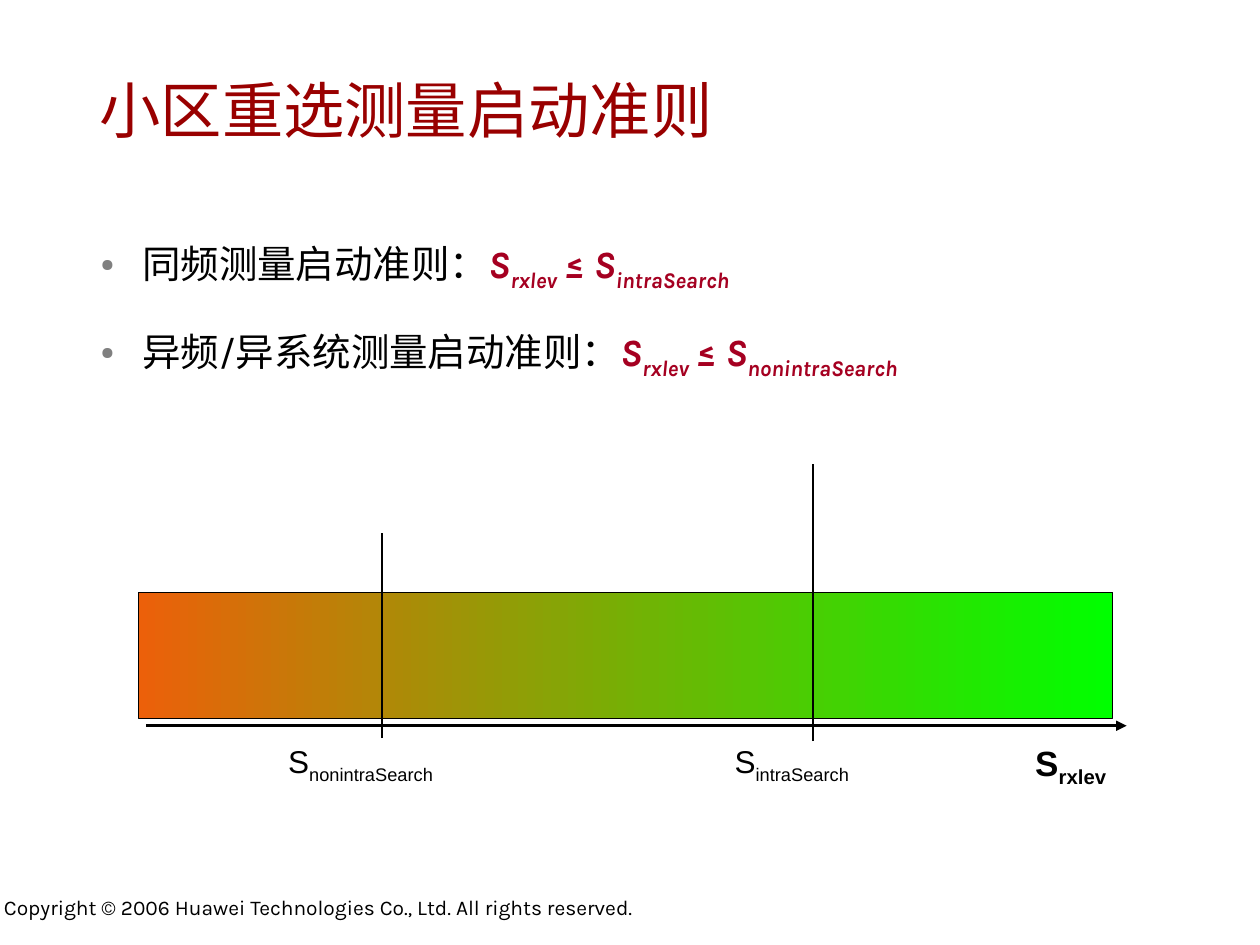
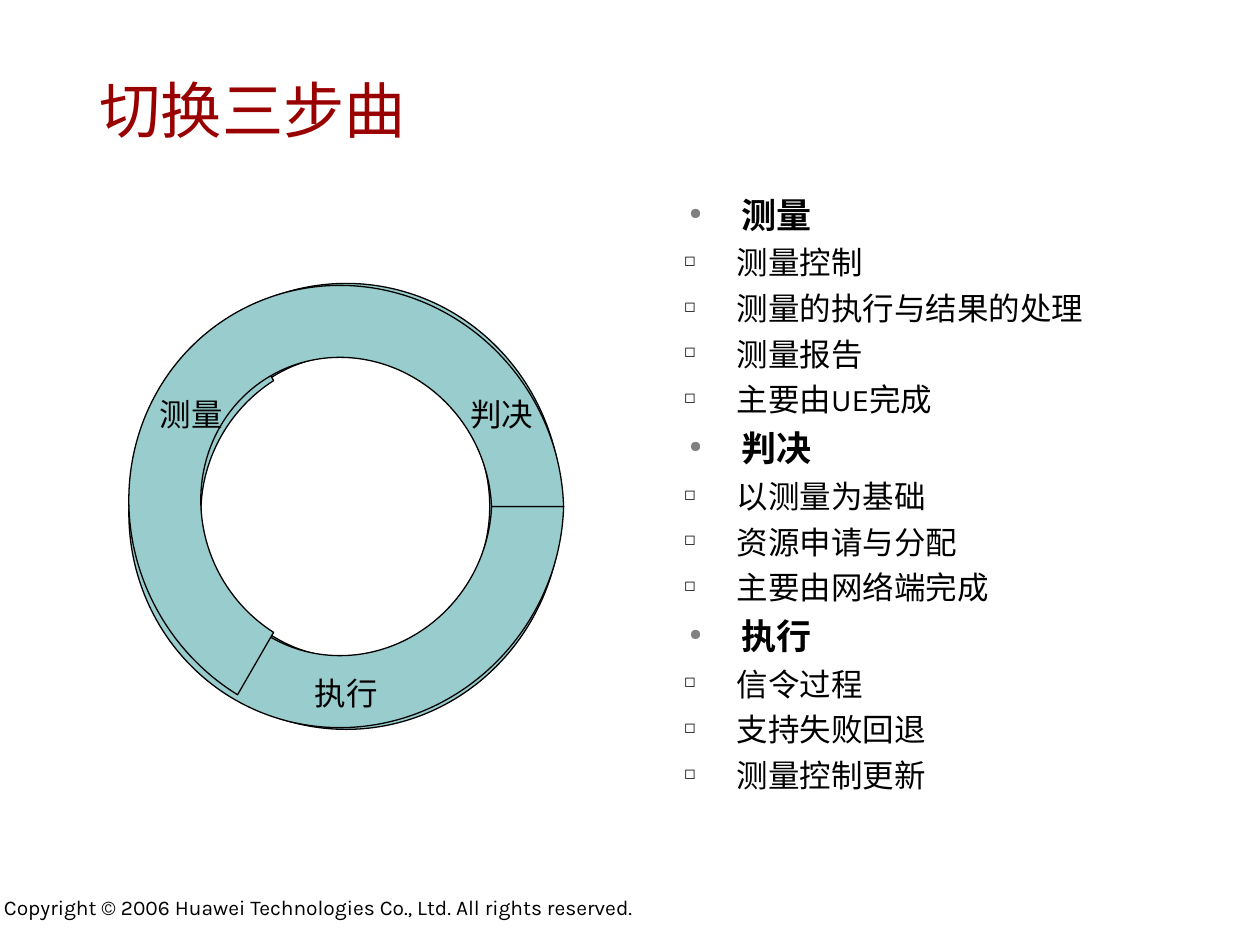
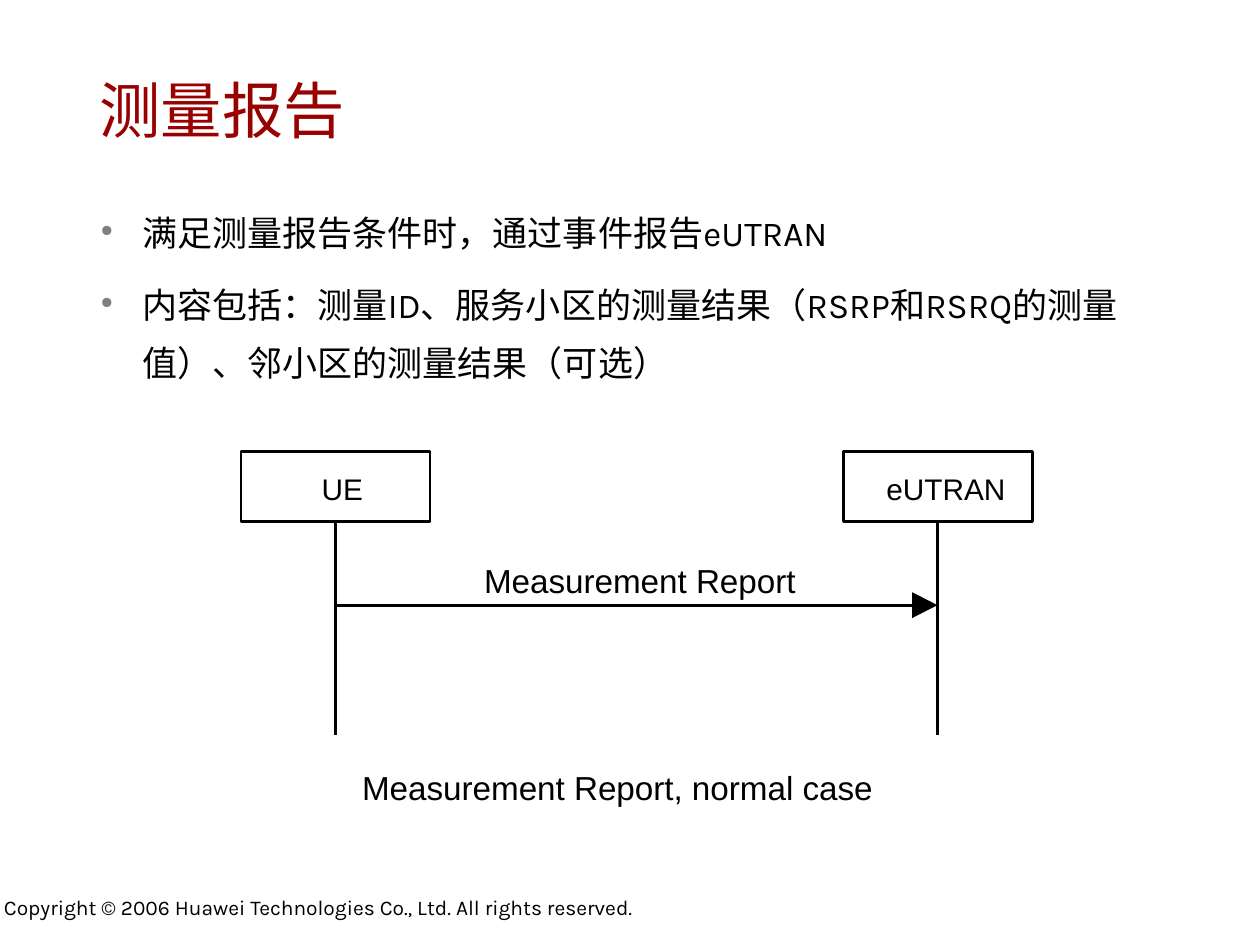
from lxml import etree
from pptx import Presentation
from pptx.dml.color import RGBColor
from pptx.enum.shapes import MSO_CONNECTOR, MSO_SHAPE
from pptx.enum.text import MSO_ANCHOR, PP_ALIGN
from pptx.oxml.ns import qn
from pptx.util import Cm, Pt

# Shared look
BODY_FONT, LABEL_FONT = "Karla", "Arial"
BLACK, TITLE_RED, FORMULA_RED = "000000", "990000", "A50021"
TEAL, ORANGE, GREEN = "99CCCC", "EC600A", "00FF00"
COPYRIGHT = "Copyright © 2006 Huawei Technologies Co., Ltd. All rights reserved."
FRAME_INSETS = (0.23, 0.1)
FORMULA = {"color": FORMULA_RED, "bold": True, "italic": True}

# Bullet levels: character, colour, size in percent, left margin, indent
DOT = ("●", "808080", 45, 0.84, -0.84)
STEP_DOT = ("●", "808080", 45, 1.35, -1.04)
STEP_SQUARE = ("◻", "080808", 45, 1.26, -1.06)


def rgb(value):
    return RGBColor.from_string(value)


def style_run(r, size, font, color=BLACK, bold=False, italic=False, sub=False):
    r.font.size, r.font.name = Pt(size), font
    r.font.bold, r.font.italic = bold, italic
    r.font.color.rgb = rgb(color)
    if sub:
        r.font._element.set("baseline", "-25000")


def write(p, parts, size, font, **style):
    """Fill a paragraph from a string or from (text, style) pairs."""
    if isinstance(parts, str):
        parts = [(parts, {})]
    for text, extra in parts:
        r = p.add_run()
        r.text = text
        style_run(r, size, font, **{**style, **extra})


def symbol(name, **style):
    """The letter S with a subscript name."""
    return [("S", style), (name, {**style, "sub": True})]


def text_frame(s, box, insets, wrap=False, anchor=MSO_ANCHOR.TOP):
    tf = s.shapes.add_textbox(*map(Cm, box)).text_frame
    tf.word_wrap, tf.vertical_anchor = wrap, anchor
    tf.margin_left = tf.margin_right = Cm(insets[0])
    tf.margin_top = tf.margin_bottom = Cm(insets[1])
    return tf


def add_label(s, box, parts, size, insets=(0, 0), align=PP_ALIGN.CENTER,
              anchor=MSO_ANCHOR.TOP, **style):
    p = text_frame(s, box, insets, anchor=anchor).paragraphs[0]
    p.alignment = align
    write(p, parts, size, LABEL_FONT, **style)


def set_bullet(p, char, color, percent, margin, indent):
    pPr = p._p.get_or_add_pPr()
    pPr.set("marL", str(Cm(margin)))
    pPr.set("indent", str(Cm(indent)))
    clr = etree.SubElement(pPr, qn("a:buClr"))
    etree.SubElement(clr, qn("a:srgbClr"), val=color)
    etree.SubElement(pPr, qn("a:buSzPct"), val=str(percent * 1000))
    etree.SubElement(pPr, qn("a:buChar"), char=char)


def add_bullets(s, box, items, spacing=1.0):
    """Each item is (bullet level, parts, size, space before, bold)."""
    tf = text_frame(s, box, FRAME_INSETS, wrap=True)
    for i, (level, parts, size, before, bold) in enumerate(items):
        p = tf.add_paragraph() if i else tf.paragraphs[0]
        set_bullet(p, *level)
        p.line_spacing = spacing
        p.space_before = Pt(before if i else 0)
        write(p, parts, size, BODY_FONT, bold=bold)


def add_line(s, x1, y1, x2, y2, width, arrow=False):
    line = s.shapes.add_connector(MSO_CONNECTOR.STRAIGHT, Cm(x1), Cm(y1), Cm(x2), Cm(y2))
    line.line.color.rgb, line.line.width = rgb(BLACK), Pt(width)
    if arrow:
        etree.SubElement(line.line._get_or_add_ln(), qn("a:tailEnd"), type="triangle")
    etree.SubElement(line._element.spPr, qn("a:effectLst"))
    return line


def add_outlined(s, kind, box, width, fill=None):
    sp = s.shapes.add_shape(kind, *map(Cm, box))
    sp.shadow.inherit = False
    sp.line.color.rgb, sp.line.width = rgb(BLACK), Pt(width)
    if fill:
        sp.fill.solid()
        sp.fill.fore_color.rgb = rgb(fill)
    else:
        sp.fill.background()
    return sp


def new_slide(prs, title):
    """Blank slide with the shared footer and title."""
    s = prs.slides.add_slide(prs.slide_layouts[6])
    tf = text_frame(s, (-0.15, 17.93, 17.78, 0.74), FRAME_INSETS, wrap=True)
    write(tf.paragraphs[0], COPYRIGHT, 12, BODY_FONT)
    tf = text_frame(s, (1.78, 0.99, 21.46, 2.41), FRAME_INSETS, True, MSO_ANCHOR.MIDDLE)
    write(tf.paragraphs[0], title, 35, BODY_FONT, color=TITLE_RED)
    return s


def criteria_slide(prs):
    s = new_slide(prs, "小区重选测量启动准则")
    rules = [("同频测量启动准则：", "intraSearch"),
             ("异频/异系统测量启动准则：", "nonintraSearch")]
    items = []
    for text, threshold in rules:
        formula = symbol("rxlev", **FORMULA) + [(" ≤ ", FORMULA)] + symbol(threshold, **FORMULA)
        items.append((DOT, [(text, {})] + formula, 22, 8.2, False))
    add_bullets(s, (1.8, 4.32, 23.04, 4.09), items, 1.4)

    # Signal level bar and its axis
    add_line(s, 2.95, 14.63, 22.71, 14.63, 1.5, arrow=True)
    bar = add_outlined(s, MSO_SHAPE.RECTANGLE, (2.8, 11.94, 19.63, 2.54), 0.75)
    bar.fill.gradient()
    bar.fill.gradient_angle = 0
    for stop, color in zip(bar.fill.gradient_stops, (ORANGE, GREEN)):
        stop.color.rgb = rgb(color)

    # Axis name and thresholds
    look = {"insets": (0.25, 0.13), "align": PP_ALIGN.LEFT}
    add_label(s, (20.62, 14.81, 2.2, 1.22), symbol("rxlev"), 20, bold=True, **look)
    for name, left, width, x, bottom, top in [
            ("intraSearch", 14.56, 3, 16.39, 14.94, 9.35),
            ("nonintraSearch", 5.56, 3.6, 7.7, 14.88, 10.74)]:
        add_label(s, (left, 14.83, width, 1.12), symbol(name), 18, **look)
        add_line(s, x, bottom, x, top, 0.75)


def handover_slide(prs):
    s = new_slide(prs, "切换三步曲")
    steps = {
        "测量": ["测量控制", "测量的执行与结果的处理", "测量报告", "主要由UE完成"],
        "判决": ["以测量为基础", "资源申请与分配", "主要由网络端完成"],
        "执行": ["信令过程", "支持失败回退", "测量控制更新"],
    }
    items = []
    for step, details in steps.items():
        items.append((STEP_DOT, step, 20, 5, True))
        items += [(STEP_SQUARE, detail, 18, 4.5, False) for detail in details]
    add_bullets(s, (13.36, 3.8, 10.92, 12.32), items)

    # Ring of three overlapping arcs around one centre
    cx, cy, short, long = 6.98, 10.21, 8.69, 8.99
    for angle in (0, 120, 240):
        w, h = (long, short) if angle else (short, long)
        arc = add_outlined(s, MSO_SHAPE.BLOCK_ARC, (cx - w / 2, cy - h / 2, w, h), 0.75, TEAL)
        for i, value in enumerate((144, 72, 0.167)):
            arc.adjustments[i] = value
        arc.rotation = angle
    for step, x, y in [("判决", 8.8, 6.97), ("执行", 5.66, 12.6), ("测量", 2.54, 6.97)]:
        add_label(s, (x, y, 2.64, 2.74), step, 18, (0.13, 0.08), anchor=MSO_ANCHOR.MIDDLE)


def report_slide(prs):
    s = new_slide(prs, "测量报告")
    points = ["满足测量报告条件时，通过事件报告eUTRAN",
              "内容包括：测量ID、服务小区的测量结果（RSRP和RSRQ的测量值）、邻小区的测量结果（可选）"]
    add_bullets(s, (1.8, 3.82, 22.02, 4.32),
                [(DOT, point, 20, 7.5, False) for point in points], 1.4)

    # Entities with their lifelines
    top, width, height = 9.11, 3.81, 1.4
    for name, left, text_left, text_width in [("UE", 4.86, 6.4, 1),
                                              ("eUTRAN", 17.0, 17.77, 2.6)]:
        entity = add_outlined(s, MSO_SHAPE.RECTANGLE, (left, top, width, height), 1.62)
        x = left + width / 2
        add_line(s, x, top + height, x, 14.81, 1.64).begin_connect(entity, 2)
        add_label(s, (text_left, 9.5, text_width, 0.71), name, 17)

    # Message arrow with a large head
    y, base, tip, half = 12.2, 18.39, 18.9, 0.26
    add_line(s, base, y, 6.76, y, 1.62)
    builder = s.shapes.build_freeform(Cm(base), Cm(y + half))
    builder.add_line_segments([(Cm(tip), Cm(y)), (Cm(base), Cm(y - half))], close=True)
    head = builder.convert_to_shape()
    head.shadow.inherit = False
    head.fill.solid()
    head.fill.fore_color.rgb = rgb(BLACK)
    head.line.fill.background()
    add_label(s, (9.6, 11.3, 6.6, 0.81), "Measurement Report", 19)
    add_label(s, (6.95, 15.34, 11, 1.07), "Measurement Report, normal case", 19,
              (0.25, 0.13), anchor=MSO_ANCHOR.MIDDLE)


def main():
    prs = Presentation()
    prs.slide_width, prs.slide_height = Cm(25.4), Cm(19.05)
    criteria_slide(prs)
    handover_slide(prs)
    report_slide(prs)
    prs.save("out.pptx")


if __name__ == "__main__":
    main()
